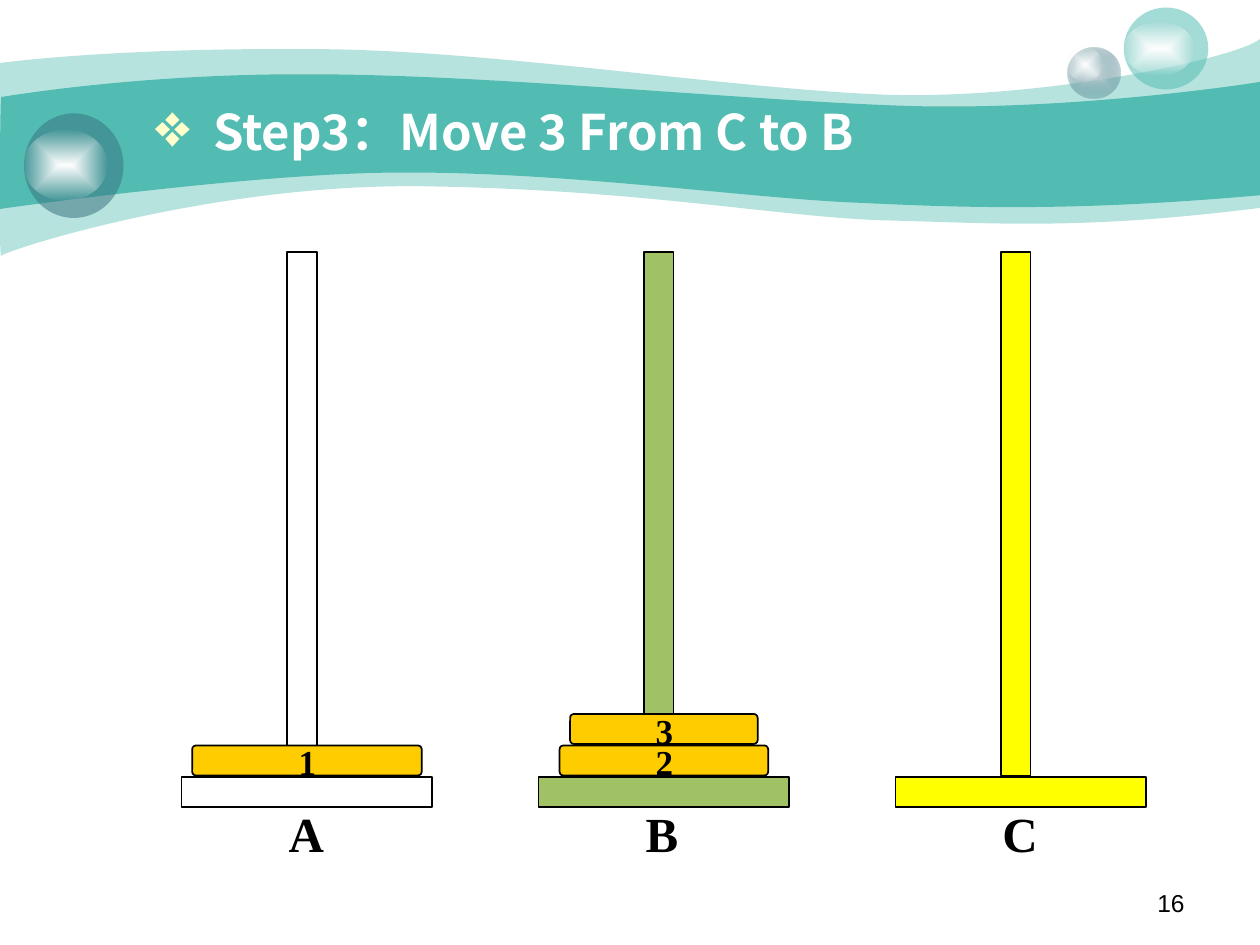
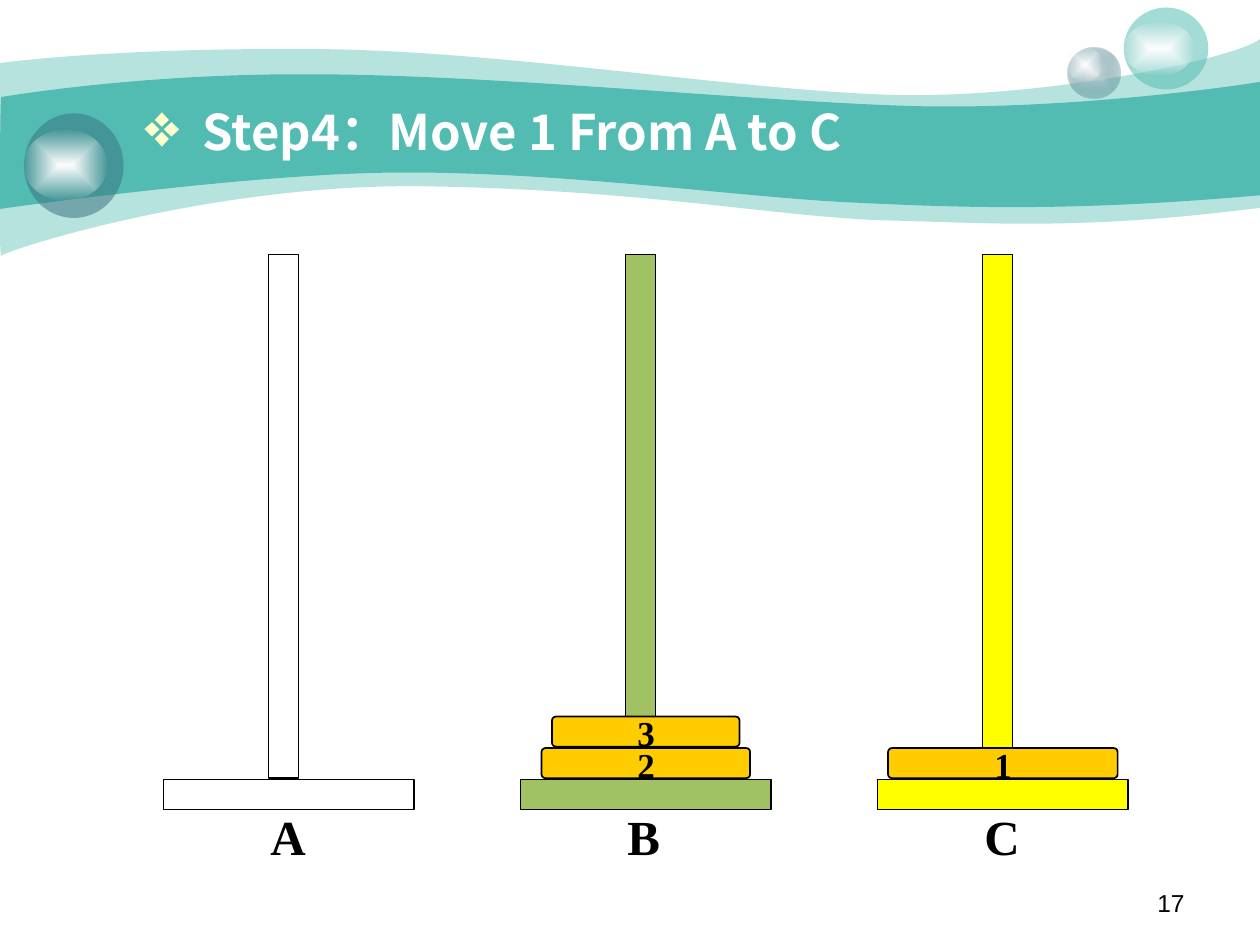
from pptx import Presentation
from pptx.dml.color import RGBColor as RGB
from pptx.enum.shapes import MSO_SHAPE as Kind
from pptx.enum.text import MSO_ANCHOR as Anchor, MSO_AUTO_SIZE as Fit, PP_ALIGN as Align
from pptx.oxml import parse_xml
from pptx.oxml.ns import nsdecls, qn
from pptx.util import Inches, Pt

TEAL = RGB(0x52, 0xBC, 0xB2)
SLATE = RGB(0x37, 0x73, 0x7F)
MIST = RGB(0xCC, 0xDB, 0xDE)
WHITE = RGB(0xFF, 0xFF, 0xFF)
BLACK = RGB(0x00, 0x00, 0x00)
GREEN = RGB(0xA0, 0xC2, 0x64)
YELLOW = RGB(0xFF, 0xFF, 0x00)
GOLD = RGB(0xFF, 0xCC, 0x00)
CREAM = RGB(0xFF, 0xFF, 0xCC)
SERIF, SANS, HEAD = "Times New Roman", "Arial", "Noto Sans CJK SC"

CELL = Inches(1) / 12  # the slide is a grid of 120 columns and 90 rows
GAP = 0.14             # slit between stacked parts, in cells
PITCH = 34             # columns from one tower to the next
BASE, ROD, THICK = 24, 50, 3
TOWERS = {"A": WHITE, "B": GREEN, "C": YELLOW}
SIZES = {1: 22, 2: 20, 3: 18}  # disk widths in cells

# Each band: colour, alpha, start point, then curves (6 numbers) and lines (2)
BANDS = [
    (TEAL, 41, (0, 0.5), [
        (0.24, 0.47, 1.07, 0.38, 2.47, 0.39), (3.86, 0.39, 5.75, 0.7, 6.99, 0.75),
        (8.22, 0.8, 9.8, 0.47, 10, 0.31), (10, 1.65),
        (8.58, 1.83, 7.87, 1.77, 7.05, 1.75), (6.22, 1.73, 5.15, 1.51, 3.43, 1.48),
        (1.72, 1.44, 0.04, 1.99, 0.01, 2.03), (-0.01, 2.08, 0, 0.75, 0, 0.5)]),
    (TEAL, 100, (0.01, 0.77), [
        (0.02, 0.77, 1.1, 0.58, 2.48, 0.59), (3.86, 0.59, 5.95, 0.8, 7.18, 0.84),
        (8.41, 0.88, 9.76, 0.69, 10, 0.65), (10, 1.55),
        (8.53, 1.68, 7.65, 1.65, 6.82, 1.61), (5.99, 1.58, 4.47, 1.36, 3.17, 1.37),
        (2.03, 1.37, -0.02, 1.66, -0.01, 1.66), (0, 1.66, 0, 0.77, 0.01, 0.77)]),
]
SHINE = [(WHITE, 100), (WHITE, 0)]
BALLS = [
    ((8.47, 0.38, 0.42, 0.4), [(MIST, 100), (SLATE, 31)]),
    ((8.47, 0.38, 0.28, 0.27), SHINE),
    ((8.92, 0.06, 0.67, 0.65), [(TEAL, 53)]),
    ((8.92, 0.17, 0.56, 0.43), SHINE),
    ((0.19, 0.9, 0.79, 0.83), [(SLATE, 53)]),
    ((0.19, 1.03, 0.66, 0.56), SHINE),
]
# Title, title column, page, tower origin (column, row), disks from the bottom up
STEPS = [
    ("Step3：Move 3 From C to B", 13.45, 16, (17.3, 24), {"A": [1], "B": [2, 3]}),
    ("Step4：Move 1 From A to C", 12.45, 17, (15.58, 24.25), {"B": [2, 3], "C": [1]}),
]


def block(kind, x, y, w, h, fill):
    """Draw a black-edged shape measured in grid cells."""
    shape = slide.shapes.add_shape(kind, *(round(n * CELL) for n in (x, y, w, h)))
    shape.shadow.inherit = False
    shape.fill.solid()
    shape.fill.fore_color.rgb = fill
    shape.line.color.rgb = BLACK
    shape.line.width = Pt(1)
    return shape


def write(text, x, y, w, h, size, name=SERIF, bold=True, align=Align.LEFT):
    """Place a line of text measured in grid cells."""
    frame = slide.shapes.add_textbox(*(round(n * CELL) for n in (x, y, w, h))).text_frame
    frame.word_wrap = True
    para = frame.paragraphs[0]
    para.text = str(text)
    para.alignment = align
    font = para.font
    font.name, font.size, font.bold = name, Pt(size), bold
    font.color.rgb = BLACK


deck = Presentation()
deck.slide_width, deck.slide_height = Inches(10), Inches(7.5)
layout = deck.slide_layouts[5]
slides = [deck.slides.add_slide(layout) for step in STEPS]

# Bands and balls are drawn once, then moved to the shared layout
shapes = slides[0].shapes
decor = []
for color, alpha, start, parts in BANDS:
    pen = shapes.build_freeform(*(Inches(n) for n in start))
    pen.add_line_segments([(Inches(part[-2]), Inches(part[-1])) for part in parts])
    band = pen.convert_to_shape()
    # Bend the straight sides that have control points
    for side, part in zip(list(band.element.iter(qn("a:lnTo"))), parts):
        if len(part) == 6:
            points = "".join(f'<a:pt x="{Inches(x) - band.left}" y="{Inches(y) - band.top}"/>'
                             for x, y in zip(part[::2], part[1::2]))
            curve = f'<a:cubicBezTo {nsdecls("a")}>{points}</a:cubicBezTo>'
            side.getparent().replace(side, parse_xml(curve))
    decor.append((band, [(color, alpha)]))
for spot, stops in BALLS:
    decor.append((shapes.add_shape(Kind.OVAL, *(Inches(n) for n in spot)), stops))

for num, (shape, stops) in enumerate(decor, 20):
    shape.shadow.inherit = False
    shape.line.fill.background()
    shape.fill.solid()
    shape.fill.fore_color.rgb = stops[0][0]
    tints = [f'<a:srgbClr val="{color}"><a:alpha val="{alpha * 1000}"/></a:srgbClr>'
             for color, alpha in stops]
    if len(tints) == 1:
        xml = f'<a:solidFill {nsdecls("a")}>{tints[0]}</a:solidFill>'
    else:
        xml = (f'<a:gradFill {nsdecls("a")}><a:gsLst><a:gs pos="0">{tints[0]}</a:gs>'
               f'<a:gs pos="100000">{tints[1]}</a:gs></a:gsLst><a:path path="rect">'
               '<a:fillToRect l="50000" t="50000" r="50000" b="50000"/></a:path></a:gradFill>')
    props = shape.element.spPr
    props.replace(props.find(qn("a:solidFill")), parse_xml(xml))
    shape.element.nvSpPr.cNvPr.set("id", str(num))
    layout.shapes.element.append(shape.element)

for slide, (head, col, page, (left, top), stacks) in zip(slides, STEPS):
    write(page, 86, 84, 28, 4.2, 14, SANS, False, Align.RIGHT)
    lefts = {name: left + i * PITCH for i, name in enumerate(TOWERS)}
    for name, fill in TOWERS.items():
        x = lefts[name]
        block(Kind.RECTANGLE, x, top + ROD, BASE - GAP, THICK - GAP, fill)
        block(Kind.RECTANGLE, x + 10, top, THICK - GAP, ROD - GAP, fill)
        write(name, x + 9, top + ROD + 1.95, 12, 6.8, 28)
    for name, disks in stacks.items():
        x = lefts[name]
        for level, disk in enumerate(disks, 1):
            y = top + ROD - level * THICK
            width = SIZES[disk]
            plate = block(Kind.ROUNDED_RECTANGLE, x + (BASE - width) / 2, y,
                          width - GAP, THICK - GAP, GOLD)
            plate.adjustments[0] = 0.125
            write(disk, x + 9.95, y - 1.05, 9, 5.2, 20)

    title = slide.shapes.title
    title.left, title.top = round(col * CELL), Inches(0.81)
    title.width, title.height = Inches(7.05), Inches(0.61)
    frame = title.text_frame
    frame.auto_size, frame.vertical_anchor = Fit.NONE, Anchor.TOP
    para = frame.paragraphs[0]
    para.text = head
    para.alignment, para.line_spacing = Align.LEFT, 0.9
    props = para._p.get_or_add_pPr()
    props.set("marL", str(Inches(0.47)))
    props.set("indent", str(-Inches(0.46)))
    for xml in (f'<a:buClr {nsdecls("a")}><a:srgbClr val="{CREAM}"/></a:buClr>',
                f'<a:buSzPct {nsdecls("a")} val="125000"/>',
                f'<a:buChar {nsdecls("a")} char="❖"/>'):
        props.append(parse_xml(xml))
    font = para.font
    font.name, font.size, font.bold = HEAD, Pt(28), True
    font.color.rgb = WHITE

deck.save("out.pptx")
